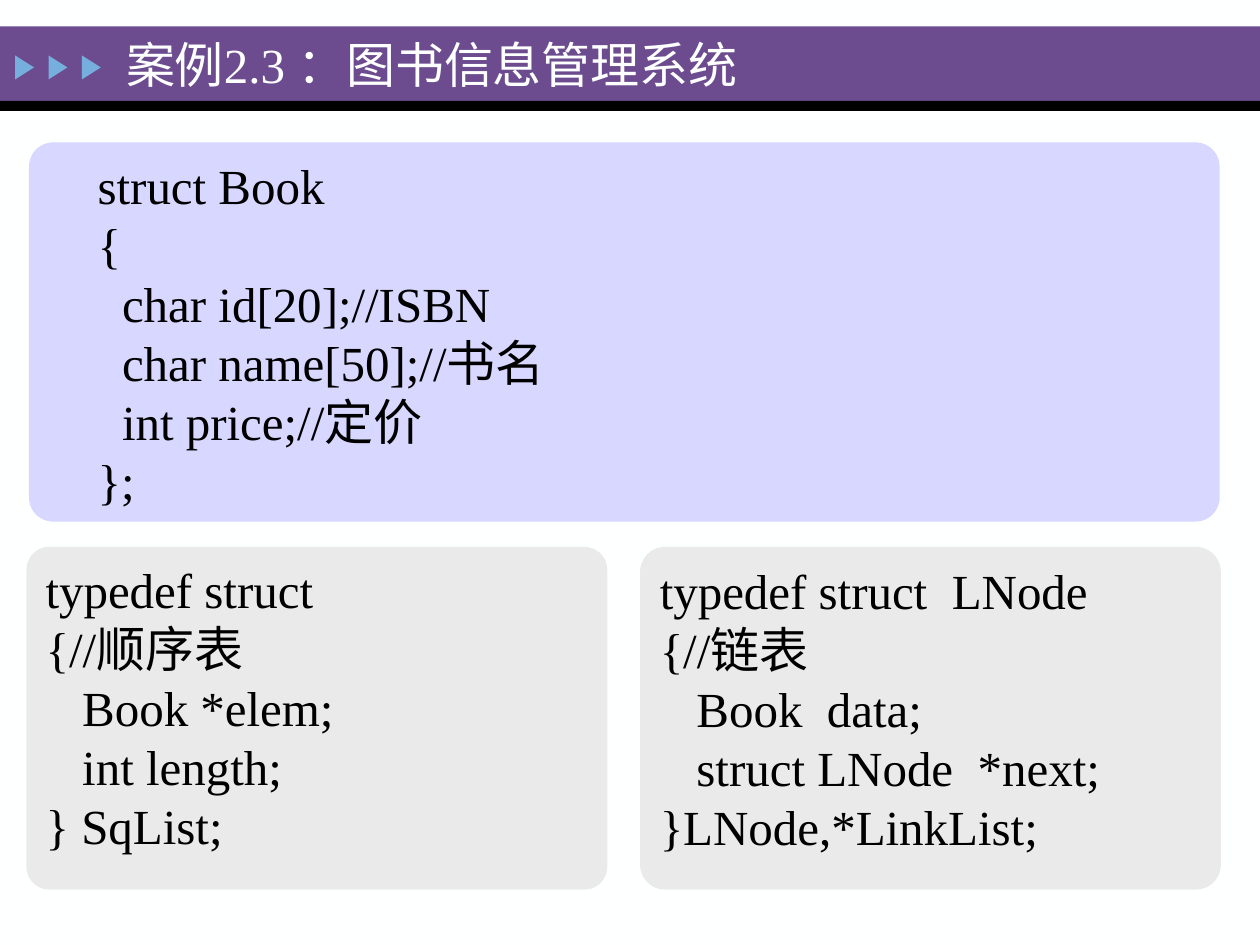
"""Build the book management case slide with its three struct definitions."""
import pptx
import pptx.util
import pptx.dml.color
import pptx.enum.shapes
import pptx.enum.text

Inches, Pt = pptx.util.Inches, pptx.util.Pt
SHAPE = pptx.enum.shapes.MSO_SHAPE
ANCHOR = pptx.enum.text.MSO_ANCHOR
ALIGN = pptx.enum.text.PP_ALIGN

WIDTH, HEIGHT = 10, 7.5
FONT, SIZE, LINE = "Times New Roman", 28, 33.7
WHITE, BLACK, PURPLE, BLUE = "FEFFFF", "000000", "6C4C8F", "76AEDD"
LILAC, GREY = "D7D7FF", "EAEAEA"

TITLE = "案例2.3 ：图书信息管理系统"
BOOK = ["struct Book", "{", "  char id[20];//ISBN", "  char name[50];//书名",
        "  int price;//定价", "};"]
SEQUENCE = ["typedef struct", "{//顺序表", "   Book *elem;", "   int length;", "} SqList;"]
LINKED = ["typedef struct  LNode", "{//链表", "   Book  data;",
          "   struct LNode  *next;", "}LNode,*LinkList;"]

BAND_TOP, BAND_HEIGHT, RULE_HEIGHT = 0.21, 0.59, 0.08
ARROW_LEFT, ARROW_TOP, ARROW_STEP, ARROW_SIZE = 0.1, 0.46, 0.265, (0.19, 0.15)
LEFT, COLUMN, GAP = 0.21, 4.61, 0.26
LOWER_TOP, LOWER_HEIGHT = 4.34, 2.72
PANELS = [
    (BOOK, (0.23, 1.13, 9.45, 3.01), 0.064, LILAC, 0.39),
    (SEQUENCE, (LEFT, LOWER_TOP, COLUMN, LOWER_HEIGHT), 0.067, GREY, 0),
    (LINKED, (LEFT + COLUMN + GAP, LOWER_TOP, COLUMN, LOWER_HEIGHT), 0.073, GREY, 0),
]


def rgb(value):
    return pptx.dml.color.RGBColor.from_string(value)


def style(p, color):
    p.alignment = ALIGN.LEFT
    for r in p.runs:
        r.font.name, r.font.size = FONT, Pt(SIZE)
        r.font.color.rgb = rgb(color)


def add_block(s, kind, box, color):
    sp = s.shapes.add_shape(kind, *map(Inches, box))
    sp.shadow.inherit = False
    sp.fill.solid()
    sp.fill.fore_color.rgb = rgb(color)
    sp.line.fill.background()
    return sp


def add_header(s):
    add_block(s, SHAPE.RECTANGLE, (0, BAND_TOP, WIDTH, BAND_HEIGHT), PURPLE)
    add_block(s, SHAPE.RECTANGLE, (0, BAND_TOP + BAND_HEIGHT, WIDTH, RULE_HEIGHT), BLACK)
    for i in range(3):
        box = (ARROW_LEFT + i * ARROW_STEP, ARROW_TOP, *ARROW_SIZE)
        add_block(s, SHAPE.ISOSCELES_TRIANGLE, box, BLUE).rotation = 90


def add_title(s):
    sp = s.shapes.title
    sp.left, sp.top, sp.width, sp.height = map(Inches, (0.9, 0.17, 5.4, 0.67))
    tf = sp.text_frame
    tf.text = TITLE
    tf.vertical_anchor = ANCHOR.MIDDLE
    style(tf.paragraphs[0], WHITE)
    s.shapes._spTree.append(sp._element)


def add_panel(s, lines, box, corner, color, indent):
    sp = add_block(s, SHAPE.ROUNDED_RECTANGLE, box, color)
    sp.adjustments[0] = corner
    tf = sp.text_frame
    tf.word_wrap = True
    tf.vertical_anchor = ANCHOR.TOP
    tf.text = "\n".join(lines)
    for p in tf.paragraphs:
        p.line_spacing = Pt(LINE)
        p._p.get_or_add_pPr().set("marL", str(Inches(indent)))
        style(p, BLACK)


def main():
    prs = pptx.Presentation()
    prs.slide_width, prs.slide_height = Inches(WIDTH), Inches(HEIGHT)
    s = prs.slides.add_slide(prs.slide_layouts[5])
    s.background.fill.solid()
    s.background.fill.fore_color.rgb = rgb(WHITE)
    add_header(s)
    for panel in PANELS:
        add_panel(s, *panel)
    add_title(s)
    prs.save("out.pptx")


if __name__ == "__main__":
    main()
